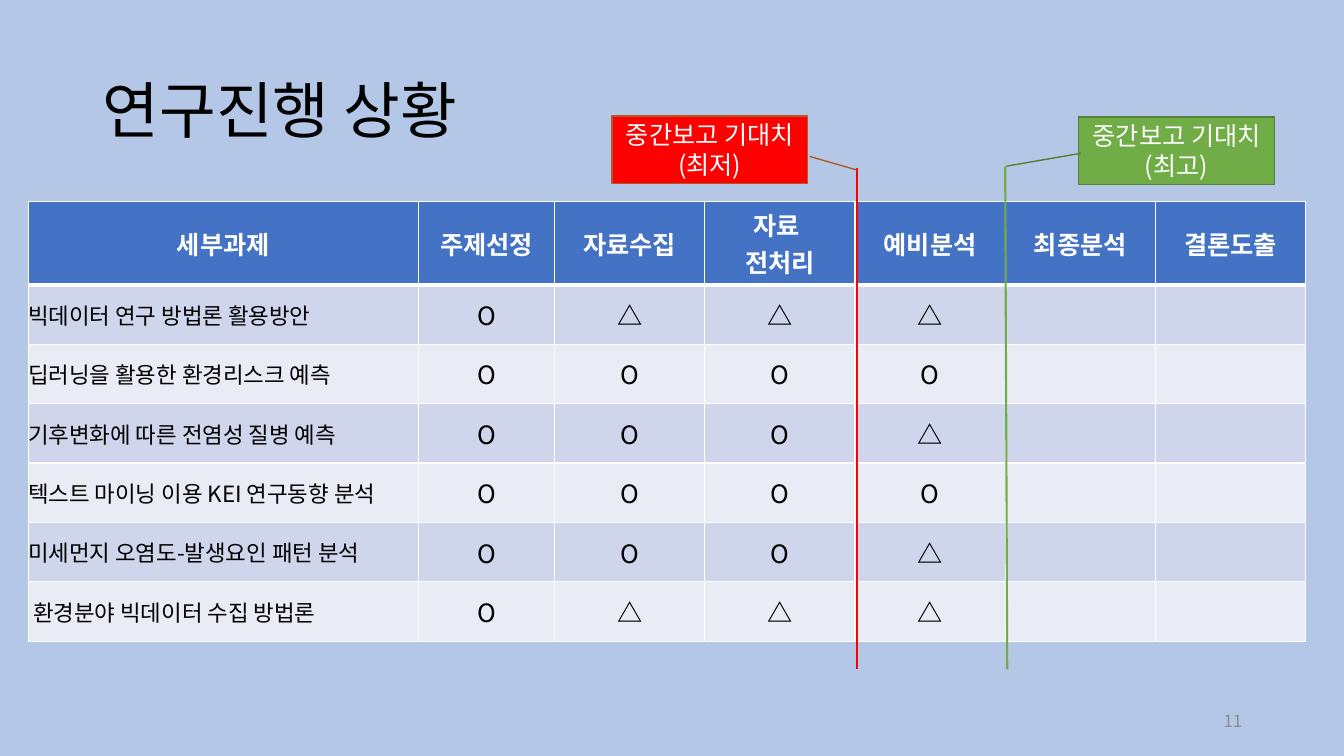
from lxml import etree
from pptx import Presentation
from pptx.dml.color import RGBColor
from pptx.enum.shapes import MSO_CONNECTOR, MSO_SHAPE
from pptx.enum.text import MSO_ANCHOR, PP_ALIGN
from pptx.oxml.ns import qn
from pptx.util import Inches, Pt

FONT = "Noto Sans CJK KR"
BLACK, WHITE, GRAY, RED, GREEN = "000000", "FFFFFF", "8C8C8C", "FF0000", "70AD47"
HEADER_FILL = "4472C4"
BAND_FILLS = ("CFD5EA", "E9EBF5")

HEADERS = ["세부과제", "주제선정", "자료수집", "자료 \n전처리", "예비분석", "최종분석", "결론도출"]
# Each task with its marks, one per finished or started stage
TASKS = [
    ("빅데이터 연구 방법론 활용방안", "O△△△"),
    ("딥러닝을 활용한 환경리스크 예측", "OOOO"),
    ("기후변화에 따른 전염성 질병 예측", "OOO△"),
    ("텍스트 마이닝 이용 KEI 연구동향 분석", "OOOO"),
    ("미세먼지 오염도-발생요인 패턴 분석", "OOO△"),
    (" 환경분야 빅데이터 수집 방법론", "O△△△"),
]
COLUMN_WIDTHS = [3.87, 1.35] + [1.49] * 5
ROW_HEIGHTS = [0.52] + [0.59] * len(TASKS)


def color(hex_text):
    return RGBColor.from_string(hex_text)


class StatusSlide:
    def __init__(self, deck, background):
        self.page = deck.slides.add_slide(deck.slide_layouts[5])
        self.page.background.fill.solid()
        self.page.background.fill.fore_color.rgb = color(background)

    def add_spans(self, para, text, size, ink, align=PP_ALIGN.CENTER, bold=False):
        para.alignment = align
        for index, line in enumerate(text.split("\n")):
            if index:
                para.add_line_break()
            span = para.add_run()
            span.text = line
            font = span.font
            font.size, font.bold, font.name = Pt(size), bold, FONT
            font.color.rgb = color(ink)
            # Korean glyphs take the East Asian typeface
            etree.SubElement(font._element, qn("a:ea"), typeface=FONT)

    def fill_frame(self, frame, text, size, ink, align=PP_ALIGN.CENTER):
        frame.word_wrap = True
        frame.vertical_anchor = MSO_ANCHOR.MIDDLE
        self.add_spans(frame.paragraphs[0], text, size, ink, align)

    def title(self, text, left, top, width, height):
        box = self.page.shapes.title
        box.left, box.top = Inches(left), Inches(top)
        box.width, box.height = Inches(width), Inches(height)
        self.fill_frame(box.text_frame, text, 44, BLACK, PP_ALIGN.LEFT)
        box.text_frame.paragraphs[0].line_spacing = 0.9

    def label(self, text, left, top, width, height):
        box = self.page.shapes.add_textbox(
            Inches(left), Inches(top), Inches(width), Inches(height))
        self.fill_frame(box.text_frame, text, 12, GRAY, PP_ALIGN.RIGHT)

    def callout(self, text, left, top, fill, outline, adjustments):
        """Add a box whose leader line is placed by the adjustments."""
        shape = self.page.shapes.add_shape(
            MSO_SHAPE.LINE_CALLOUT_1, Inches(left), Inches(top), Inches(1.94), Inches(0.67))
        for index, value in enumerate(adjustments):
            shape.adjustments[index] = value
        shape.shadow.inherit = False
        shape.fill.solid()
        shape.fill.fore_color.rgb = color(fill)
        shape.line.color.rgb = color(outline)
        shape.line.width = Pt(1)
        self.fill_frame(shape.text_frame, text, 18, WHITE)

    def line(self, start, end, ink):
        connector = self.page.shapes.add_connector(
            MSO_CONNECTOR.STRAIGHT, *map(Inches, start + end))
        connector.line.color.rgb = color(ink)
        connector.line.width = Pt(1.5)
        etree.SubElement(connector._element.spPr, qn("a:effectLst"))

    def borders(self, cell, row):
        properties = cell._tc.get_or_add_tcPr()
        for index, side in enumerate("LRTB"):
            width = 3 if (row, side) in ((0, "B"), (1, "T")) else 1
            edge = etree.Element(qn(f"a:ln{side}"), w=str(Pt(width)))
            fill = etree.SubElement(edge, qn("a:solidFill"))
            etree.SubElement(fill, qn("a:srgbClr"), val=WHITE)
            properties.insert(index, edge)

    def progress_table(self, left, top):
        rows = [HEADERS] + [[task, *marks] for task, marks in TASKS]
        table = self.page.shapes.add_table(
            len(rows), len(HEADERS), Inches(left), Inches(top),
            Inches(sum(COLUMN_WIDTHS)), Inches(sum(ROW_HEIGHTS))).table
        for column, width in zip(table.columns, COLUMN_WIDTHS):
            column.width = Inches(width)
        for row, (values, height) in enumerate(zip(rows, ROW_HEIGHTS)):
            table.rows[row].height = Inches(height)
            for column in range(len(HEADERS)):
                cell = table.cell(row, column)
                cell.fill.solid()
                cell.fill.fore_color.rgb = color(
                    BAND_FILLS[(row - 1) % 2] if row else HEADER_FILL)
                self.borders(cell, row)
                cell.vertical_anchor = MSO_ANCHOR.MIDDLE
                if column < len(values):
                    self.fill_cell(cell, values[column], row, column)

    def fill_cell(self, cell, text, row, column):
        para = cell.text_frame.paragraphs[0]
        if row == 0:
            self.add_spans(para, text, 18, WHITE, bold=True)
        elif column == 0:
            cell.margin_left = cell.margin_right = 0
            cell.margin_top = cell.margin_bottom = 0
            self.add_spans(para, text, 16, BLACK, PP_ALIGN.LEFT)
        else:
            self.add_spans(para, text, 18, BLACK, bold=text == "△")


def main():
    deck = Presentation()
    deck.slide_width, deck.slide_height = Inches(13.33), Inches(7.5)
    slide = StatusSlide(deck, "B4C7E7")
    slide.title("연구진행 상황", 0.92, 0.4, 11.5, 1.45)
    slide.progress_table(0.28, 2)
    slide.label("11", 9.42, 6.95, 3, 0.4)
    slide.line((8.5, 1.67), (8.5, 6.64), RED)
    slide.callout("중간보고 기대치 (최저)", 6.07, 1.15, RED, "AF5C24", (0.6, 1.01, 0.8, 1.25))
    slide.callout("중간보고 기대치 (최고)", 10.7, 1.16, GREEN, "538035", (0.54, 0.01, 0.73, -0.37))
    slide.line((9.97, 1.65), (9.99, 6.64), GREEN)
    deck.save("out.pptx")


if __name__ == "__main__":
    main()
